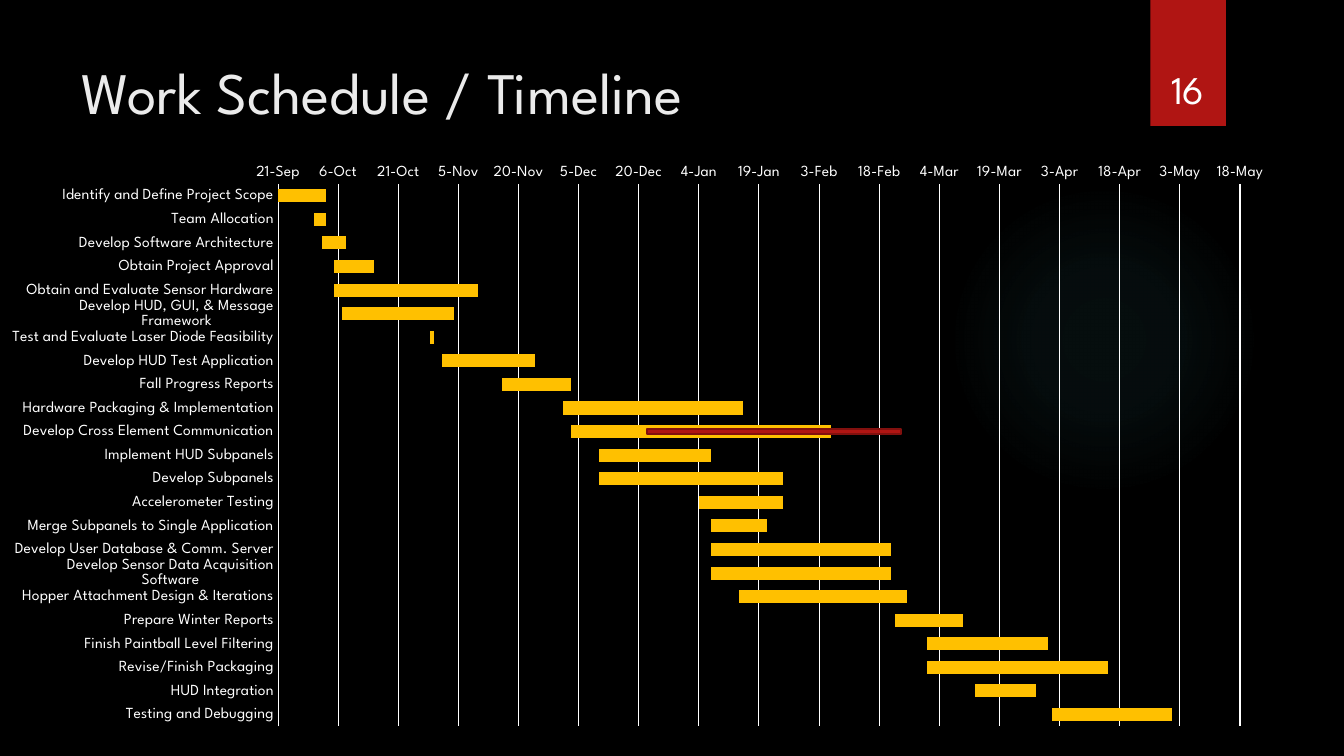
import dataclasses

import pptx
import pptx.chart.axis
import pptx.chart.data
import pptx.dml.color
import pptx.dml.fill
import pptx.enum.chart
import pptx.enum.shapes
import pptx.enum.text
import pptx.oxml
import pptx.oxml.ns
import pptx.util

Inches = pptx.util.Inches
Pt = pptx.util.Pt
ANCHOR = pptx.enum.text.MSO_ANCHOR
ALIGN = pptx.enum.text.PP_ALIGN
SHAPE = pptx.enum.shapes.MSO_SHAPE

FONT = "League Spartan"
WHITE, BLACK, RED, DARK_RED, AMBER = "FFFFFF", "000000", "B01513", "82100E", "FFC000"
FIRST_DAY, LAST_DAY, DAY_STEP = 42268, 42508, 15  # 21-Sep to 18-May, as date serials


@dataclasses.dataclass
class Task:
    name: str
    start: int
    days: int


TASKS = [
    Task("Identify and Define Project Scope", 42268, 12),
    Task("Team Allocation", 42277, 3),
    Task("Develop Software Architecture", 42279, 6),
    Task("Obtain Project Approval", 42282, 10),
    Task("Obtain and Evaluate Sensor Hardware", 42282, 36),
    Task("Develop HUD, GUI, & Message Framework", 42284, 28),
    Task("Test and Evaluate Laser Diode Feasibility", 42306, 1),
    Task("Develop HUD Test Application", 42309, 23),
    Task("Fall Progress Reports", 42324, 17),
    Task("Hardware Packaging & Implementation", 42339, 45),
    Task("Develop Cross Element Communication", 42341, 65),
    Task("Implement HUD Subpanels", 42348, 28),
    Task("Develop Subpanels", 42348, 46),
    Task("Accelerometer Testing", 42373, 21),
    Task("Merge Subpanels to Single Application", 42376, 14),
    Task("Develop User Database & Comm. Server", 42376, 45),
    Task("Develop Sensor Data Acquisition Software", 42376, 45),
    Task("Hopper Attachment Design & Iterations", 42383, 42),
    Task("Prepare Winter Reports", 42422, 17),
    Task("Finish Paintball Level Filtering", 42430, 30),
    Task("Revise/Finish Packaging", 42430, 45),
    Task("HUD Integration", 42442, 15),
    Task("Testing and Debugging", 42461, 30),
]


def rgb(color: str) -> pptx.dml.color.RGBColor:
    return pptx.dml.color.RGBColor.from_string(color)


def set_fill(fill: pptx.dml.fill.FillFormat, color: str) -> None:
    fill.solid()
    fill.fore_color.rgb = rgb(color)


def add_block(s, shape, x: float, y: float, w: float, h: float, color: str, line: str = ""):
    sp = s.shapes.add_shape(shape, Inches(x), Inches(y), Inches(w), Inches(h))
    sp.shadow.inherit = False
    set_fill(sp.fill, color)
    if line:
        sp.line.color.rgb = rgb(line)
        sp.line.width = Pt(1.5)
    else:
        sp.line.fill.background()
    return sp


def add_text(s, text: str, x: float, y: float, w: float, h: float, *, size: float,
             color: str, anchor=ANCHOR.TOP, align=ALIGN.LEFT) -> None:
    tf = s.shapes.add_textbox(Inches(x), Inches(y), Inches(w), Inches(h)).text_frame
    tf.word_wrap = True
    tf.vertical_anchor = anchor
    p = tf.paragraphs[0]
    p.alignment = align
    r = p.add_run()
    r.text = text
    r.font.name, r.font.size = FONT, Pt(size)
    r.font.color.rgb = rgb(color)


def add_glow(s) -> None:
    """Faint teal circle that fades out from its centre."""
    sp = add_block(s, SHAPE.OVAL, 9.41, 1.83, 3.08, 3.08, BLACK)
    stops = "".join(
        f'<a:gs pos="{pos}000"><a:srgbClr val="50B9C1"><a:alpha val="{alpha}000"/></a:srgbClr></a:gs>'
        for pos, alpha in ((0, 7), (36, 6), (69, 0)))
    gradient = pptx.oxml.parse_xml(
        f'<a:gradFill {pptx.oxml.ns.nsdecls("a")} rotWithShape="1"><a:gsLst>{stops}</a:gsLst>'
        '<a:path path="circle"><a:fillToRect l="50000" t="50000" r="50000" b="50000"/></a:path>'
        '</a:gradFill>')
    solid = sp._element.spPr.find(pptx.oxml.ns.qn("a:solidFill"))
    solid.getparent().replace(solid, gradient)


def style_font(font, size: float) -> None:
    font.name, font.size = FONT, Pt(size)
    font.color.rgb = rgb(WHITE)


def style_axis(axis: pptx.chart.axis._BaseAxis) -> None:
    axis.major_tick_mark = axis.minor_tick_mark = pptx.enum.chart.XL_TICK_MARK.NONE
    style_font(axis.tick_labels.font, 11)


def place_plot(chart, x: float, y: float, w: float, h: float) -> None:
    """Fix the inner plot area, in fractions of the chart."""
    area = chart._chartSpace.chart.plotArea
    for old in area.findall(pptx.oxml.ns.qn("c:layout")):
        area.remove(old)
    sizes = "".join(f'<c:{tag} val="{val}"/>' for tag, val in zip("xywh", (x, y, w, h)))
    area.insert(0, pptx.oxml.parse_xml(
        f'<c:layout {pptx.oxml.ns.nsdecls("c")}><c:manualLayout><c:layoutTarget val="inner"/>'
        f'<c:xMode val="edge"/><c:yMode val="edge"/>{sizes}</c:manualLayout></c:layout>'))


def add_gantt(s, tasks: list[Task]) -> None:
    data = pptx.chart.data.CategoryChartData()
    data.categories = [t.name for t in tasks]
    data.add_series("Series 1", [t.start for t in tasks])
    data.add_series("Series 2", [t.days for t in tasks])
    chart = s.shapes.add_chart(
        pptx.enum.chart.XL_CHART_TYPE.BAR_STACKED,
        Inches(0.12), Inches(1.47), Inches(12.44), Inches(5.83), data).chart
    chart.has_title = chart.has_legend = False
    style_font(chart.font, 10)

    plot = chart.plots[0]
    plot.gap_width, plot.overlap, plot.vary_by_categories = 81, 100, False
    offset, duration = plot.series
    offset.format.fill.background()
    set_fill(duration.format.fill, AMBER)

    names, dates = chart.category_axis, chart.value_axis
    for axis in (names, dates):
        style_axis(axis)
    names.reverse_order = True
    dates.minimum_scale, dates.maximum_scale = FIRST_DAY, LAST_DAY
    dates.major_unit = DAY_STEP
    dates.tick_labels.number_format = "d\\-mmm"
    dates.tick_labels.number_format_is_linked = False
    dates.format.line.fill.background()
    dates.has_major_gridlines = True
    for line in (names.format.line, dates.major_gridlines.format.line):
        line.color.rgb = rgb(WHITE)
        line.width = Pt(0.75)
    place_plot(chart, 0.212, 0.061, 0.767, 0.923)


def main() -> None:
    prs = pptx.Presentation()
    prs.slide_width, prs.slide_height = Inches(13.33), Inches(7.5)
    s = prs.slides.add_slide(prs.slide_layouts[6])
    set_fill(s.background.fill, BLACK)
    add_glow(s)
    add_block(s, SHAPE.RECTANGLE, 11.41, 0, 0.75, 1.25, RED)
    add_text(s, "Work Schedule / Timeline", 0.71, 0.5, 10.29, 1.53, size=42, color="EBEBEB")
    add_text(s, "16", 11.32, 0.32, 0.92, 0.84, size=28, color=WHITE,
             anchor=ANCHOR.BOTTOM, align=ALIGN.CENTER)
    add_gantt(s, TASKS)
    add_block(s, SHAPE.RECTANGLE, 6.42, 4.26, 2.52, 0.05, RED, line=DARK_RED)
    prs.save("out.pptx")


if __name__ == "__main__":
    main()
